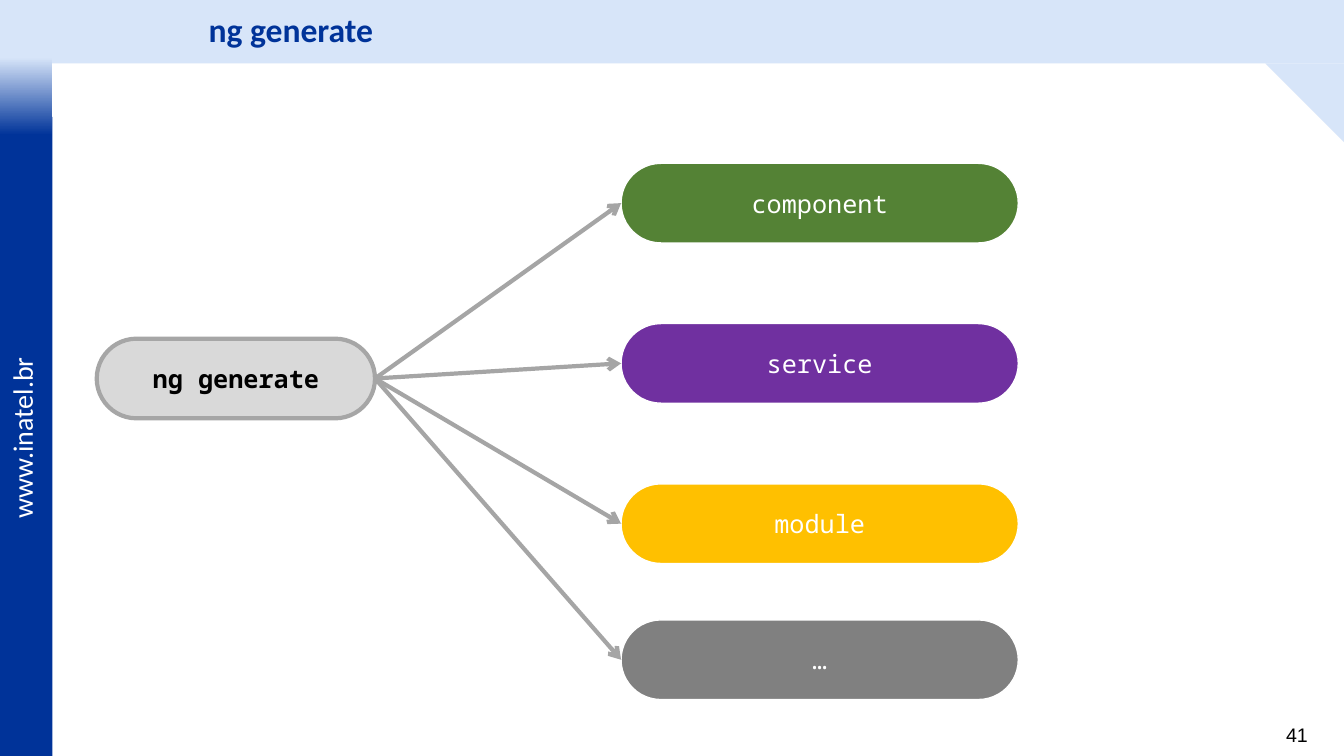
"""Builds the slide that maps the ng generate command to what it can create."""
from lxml import etree
from pptx import Presentation
from pptx.dml.color import RGBColor
from pptx.enum.shapes import MSO_CONNECTOR, MSO_SHAPE
from pptx.enum.text import MSO_ANCHOR, PP_ALIGN
from pptx.oxml.ns import qn
from pptx.util import Inches, Pt

RECTANGLE, ROUNDED = MSO_SHAPE.RECTANGLE, MSO_SHAPE.ROUNDED_RECTANGLE
RIGHT_TRIANGLE, STRAIGHT = MSO_SHAPE.RIGHT_TRIANGLE, MSO_CONNECTOR.STRAIGHT
TOP, MIDDLE = MSO_ANCHOR.TOP, MSO_ANCHOR.MIDDLE
LEFT, CENTER, RIGHT = PP_ALIGN.LEFT, PP_ALIGN.CENTER, PP_ALIGN.RIGHT

NAVY = RGBColor(0x00, 0x33, 0x99)
PALE_BLUE = RGBColor(0xD7, 0xE5, 0xF9)
WHITE = RGBColor(0xFF, 0xFF, 0xFF)
BLACK = RGBColor(0x00, 0x00, 0x00)
LIGHT_GRAY = RGBColor(0xD9, 0xD9, 0xD9)
BORDER_GRAY = RGBColor(0xA6, 0xA6, 0xA6)
ARROW_GRAY = RGBColor(0xA5, 0xA5, 0xA5)
GREEN = RGBColor(0x54, 0x82, 0x35)
PURPLE = RGBColor(0x70, 0x30, 0xA0)
AMBER = RGBColor(0xFF, 0xC0, 0x00)
GRAY = RGBColor(0x80, 0x80, 0x80)
MONO = "Noto Sans Mono"

presentation = Presentation()
presentation.slide_width = Inches(13.33)
presentation.slide_height = Inches(7.5)
slide = presentation.slides.add_slide(presentation.slide_layouts[6])


def add_box(kind, left, top, width, height, fill, line=None, line_width=1):
    shape = slide.shapes.add_shape(
        kind, Inches(left), Inches(top), Inches(width), Inches(height))
    shape.shadow.inherit = False
    shape.fill.solid()
    shape.fill.fore_color.rgb = fill
    if line is None:
        shape.line.fill.background()
    else:
        shape.line.color.rgb = line
        shape.line.width = Pt(line_width)
    if kind == ROUNDED:
        shape.adjustments[0] = 0.5
    return shape


def write(shape, text, size=18, font="Calibri", color=WHITE, bold=False,
          align=LEFT, anchor=TOP, spacing=1.0):
    frame = shape.text_frame
    frame.word_wrap = True
    frame.vertical_anchor = anchor
    paragraph = frame.paragraphs[0]
    paragraph.text = text
    paragraph.alignment = align
    paragraph.line_spacing = spacing
    paragraph.font.size = Pt(size)
    paragraph.font.name = font
    paragraph.font.bold = bold
    paragraph.font.color.rgb = color


add_box(RECTANGLE, 0, 0, 13.33, 0.63, PALE_BLUE)
add_box(RECTANGLE, 0, 1.16, 0.52, 6.34, NAVY)

sidebar_fade = add_box(RECTANGLE, 0, 0.57, 0.52, 0.77, NAVY)
sidebar_fade.fill.gradient()
sidebar_fade.fill.gradient_angle = 270
for stop, color in zip(sidebar_fade.fill.gradient_stops, (PALE_BLUE, NAVY)):
    stop.color.rgb = color
sidebar_fade.fill.gradient_stops[0].position = 0
sidebar_fade.fill.gradient_stops[1].position = 1

website = slide.shapes.add_textbox(Inches(-0.72), Inches(4.09), Inches(1.87), Inches(0.43))
website.rotation = 270
write(website, "www.inatel.br", size=20)

page_number = slide.shapes.add_textbox(Inches(12.42), Inches(7.12), Inches(0.65), Inches(0.34))
write(page_number, "41", size=14, font="Arial", color=BLACK, align=RIGHT)

title = slide.shapes.add_textbox(Inches(1.97), 0, Inches(11.36), Inches(0.63))
write(title, "ng generate", size=24, color=NAVY, bold=True, anchor=MIDDLE, spacing=0.9)

corner = add_box(RIGHT_TRIANGLE, 12.55, 0.63, 0.79, 0.79, PALE_BLUE)
corner.rotation = 180

command = add_box(ROUNDED, 0.96, 3.36, 2.76, 0.79, LIGHT_GRAY, BORDER_GRAY, 3)
write(command, "ng generate", font=MONO, color=BLACK, bold=True, align=CENTER, anchor=MIDDLE)

SCHEMATICS = (
    ("component", 1.62, GREEN),
    ("service", 3.21, PURPLE),
    ("module", 4.8, AMBER),
    ("…", 6.15, GRAY),
)
for name, top, color in SCHEMATICS:
    schematic = add_box(ROUNDED, 6.16, top, 3.94, 0.79, color, WHITE)
    write(schematic, name, font=MONO, align=CENTER, anchor=MIDDLE)
    arrow = slide.shapes.add_connector(STRAIGHT, 0, 0, 0, 0)
    arrow.begin_connect(command, 3)
    arrow.end_connect(schematic, 1)
    arrow.line.color.rgb = ARROW_GRAY
    arrow.line.width = Pt(3)
    etree.SubElement(arrow.line._get_or_add_ln(), qn("a:tailEnd"), type="arrow")
    etree.SubElement(arrow._element.spPr, qn("a:effectLst"))

presentation.save("out.pptx")
